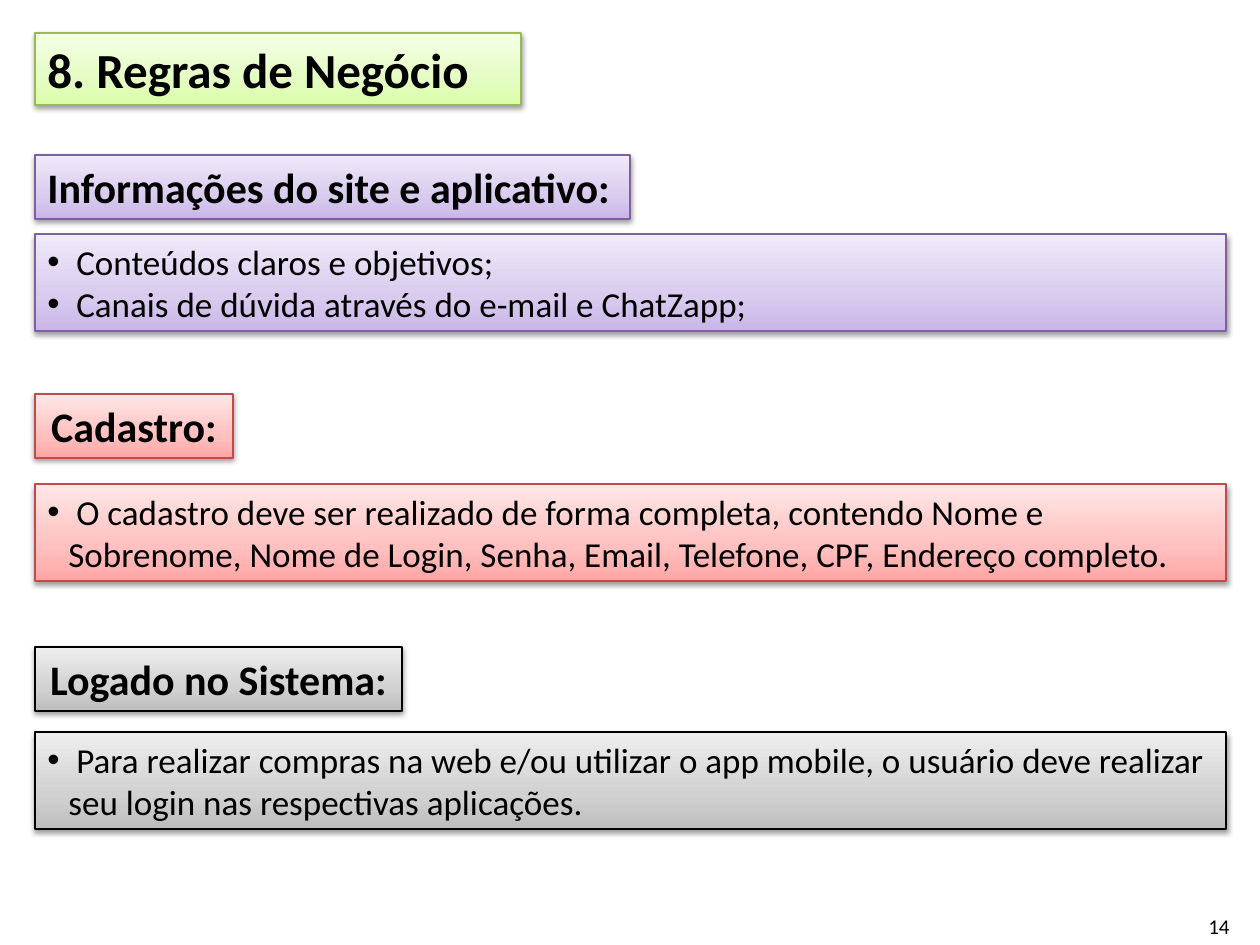
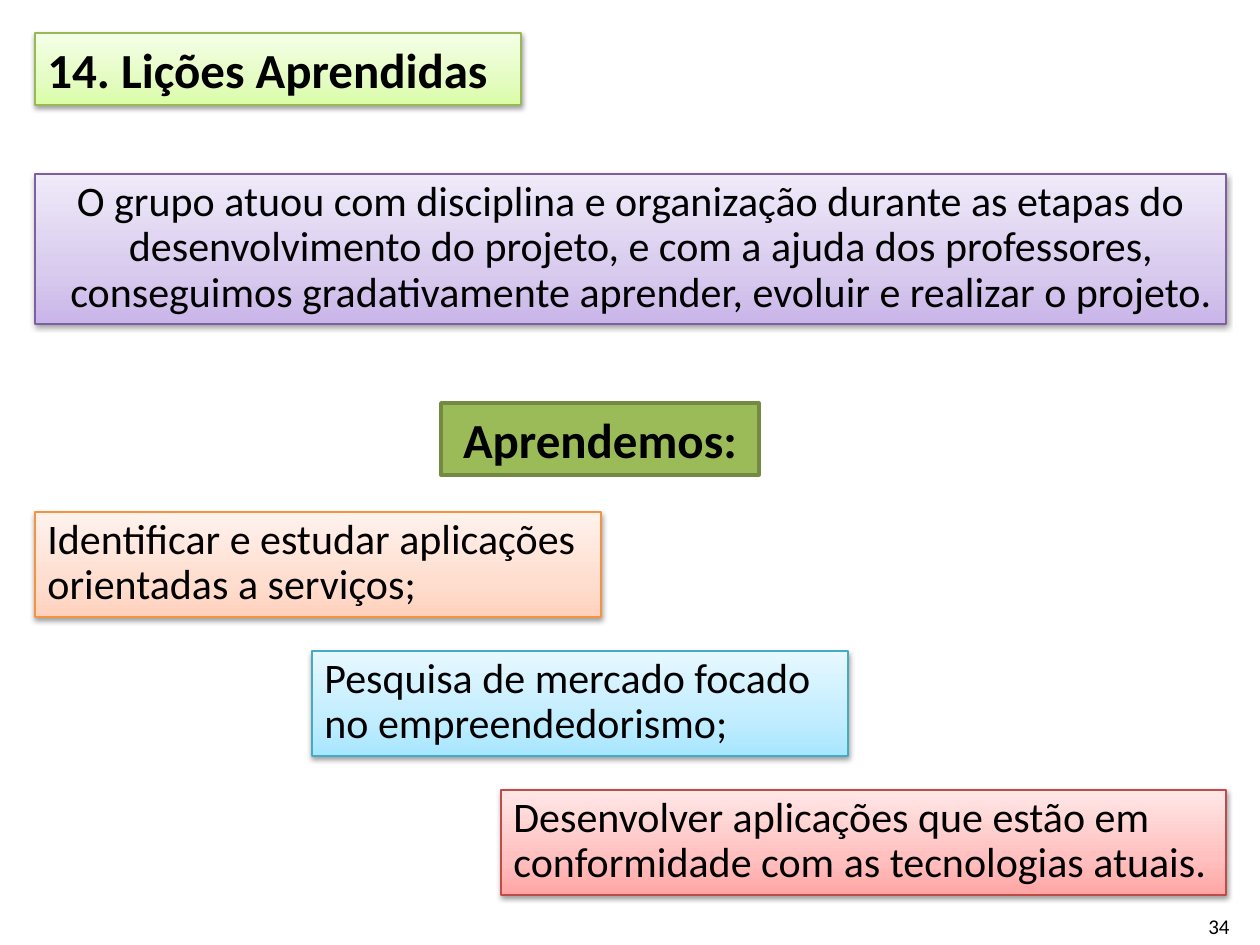
from copy import deepcopy

from lxml.etree import SubElement
from pptx import Presentation
from pptx.dml.color import RGBColor
from pptx.enum.shapes import MSO_SHAPE
from pptx.enum.text import MSO_ANCHOR, MSO_AUTO_SIZE, PP_ALIGN
from pptx.oxml.ns import qn
from pptx.util import Pt

SCALE = 914400 / 126
LEFT, WIDE = 35, 1191
INK = "000000"

# line, then gradient stops from bottom to top
TONES = {
    "lime": ("98B955", "DAFDA7", "E4FCC2", "F5FFE7"),
    "lilac": ("7D60A0", "C9B5E8", "D8CBEE", "F0EAF9"),
    "red": ("BF4C48", "FFA6A5", "FFC0BF", "FFE7E7"),
    "gray": (INK, "BDBDBD", "D1D1D1", "EEEEEE"),
    "peach": ("F69240", "FFD2BD", "FFDED0", "FFF2ED"),
    "sky": ("46AAC5", "A7E6FF", "C1EDFF", "E7F8FF"),
}
STOPS = (0, 0.35, 1)

CENTER = {"alignment": PP_ALIGN.CENTER}
RIGHT = {"alignment": PP_ALIGN.RIGHT}
PROSE = {"line_spacing": 0.9, "space_after": Pt(6)}


def px(n):
    return round(n * SCALE)


def color(code):
    return RGBColor.from_string(code)


def apply(target, values):
    for name, value in values.items():
        setattr(target, name, value)


class Deck:
    def __init__(self):
        self.prs = Presentation()
        apply(self.prs, {"slide_width": px(1260), "slide_height": px(945)})
        self.slide = None

    def page(self, title, number):
        """Start a slide with its title band and page number."""
        self.slide = self.prs.slides.add_slide(self.prs.slide_layouts[6])
        self.band("lime", (LEFT, 33, 486, 72), [title], 28, True)
        box = self.slide.shapes.add_textbox(*map(px, (948, 901, 294, 50)))
        self.text(box, [number], 12, form=RIGHT, anchor=MSO_ANCHOR.MIDDLE)

    def text(self, shape, lines, size, bold=False, form=None, hang=0,
             bullet=False, anchor=MSO_ANCHOR.TOP, fit=MSO_AUTO_SIZE.NONE):
        frame = shape.text_frame
        apply(frame, {"word_wrap": True, "vertical_anchor": anchor,
                      "auto_size": fit})
        for i, line in enumerate(lines):
            para = frame.add_paragraph() if i else frame.paragraphs[0]
            apply(para, {"alignment": PP_ALIGN.LEFT, **(form or {})})
            run = para.add_run()
            run.text = line
            apply(run.font, {"name": "Calibri", "size": Pt(size), "bold": bold})
            run.font.color.rgb = color(INK)
            props = para._p.get_or_add_pPr()
            if hang:
                props.set("marL", str(px(hang)))
                props.set("indent", str(-px(hang)))
            if bullet:
                SubElement(props, qn("a:buFont"), typeface="Arial")
                SubElement(props, qn("a:buChar"), char="•")

    def rect(self, area, line, width):
        shape = self.slide.shapes.add_shape(MSO_SHAPE.RECTANGLE, *map(px, area))
        shape.line.color.rgb = color(line)
        shape.line.width = Pt(width)
        shape.shadow.inherit = False
        return shape

    def band(self, tone, area, lines, size, bold=False, **style):
        """Add a text rectangle with a gradient and a soft shadow."""
        line, *shades = TONES[tone]
        shape = self.rect(area, line, 0.75)
        shape.fill.gradient()
        shape.fill.gradient_angle = 90
        stops = shape._element.spPr.find(qn("a:gradFill")).find(qn("a:gsLst"))
        stops.append(deepcopy(stops[0]))
        for stop, place, shade in zip(shape.fill.gradient_stops, STOPS, shades):
            stop.position = place
            stop.color.rgb = color(shade)
        self.shade(shape)
        self.text(shape, lines, size, bold,
                  fit=MSO_AUTO_SIZE.SHAPE_TO_FIT_TEXT, **style)

    def shade(self, shape):
        effects = shape._element.spPr.find(qn("a:effectLst"))
        outer = SubElement(effects, qn("a:outerShdw"), blurRad="40000",
                           dist="20000", dir="5400000", rotWithShape="0")
        tint = SubElement(outer, qn("a:srgbClr"), val=INK)
        SubElement(tint, qn("a:alpha"), val="38000")

    def label(self, area, fill, line, text):
        """Add a flat heading with a strong outline."""
        shape = self.rect(area, line, 2)
        shape.fill.solid()
        shape.fill.fore_color.rgb = color(fill)
        self.text(shape, [text], 28, True, form=CENTER,
                  fit=MSO_AUTO_SIZE.SHAPE_TO_FIT_TEXT)


def rules(deck):
    deck.page("8. Regras de Negócio", "14")
    # tone, heading, its top, width and format, list top, list items
    groups = [
        ("lilac", "Informações do site e aplicativo:", 155, 595, None, 234,
         [" Conteúdos claros e objetivos;",
          " Canais de dúvida através do e-mail e ChatZapp;"]),
        ("red", "Cadastro:", 394, 198, CENTER, 484,
         [" O cadastro deve ser realizado de forma completa, contendo Nome e "
          "Sobrenome, Nome de Login, Senha, Email, Telefone, CPF, "
          "Endereço completo."]),
        ("gray", "Logado no Sistema:", 647, 367, CENTER, 732,
         [" Para realizar compras na web e/ou utilizar o app mobile, o usuário "
          "deve realizar seu login nas respectivas aplicações."]),
    ]
    for tone, head, top, width, form, low, items in groups:
        deck.band(tone, (LEFT, low, WIDE, 97), items, 20, hang=21, bullet=True)
        deck.band(tone, (LEFT, top, width, 64), [head], 24, True, form=form)


def lessons(deck):
    deck.page("14. Lições Aprendidas", "34")
    deck.band("lilac", (LEFT, 174, WIDE, 150), [
        "O grupo atuou com disciplina e organização durante as etapas do "
        "desenvolvimento do projeto, e com a ajuda dos professores, "
        "conseguimos gradativamente aprender, evoluir e realizar o projeto."],
        24, form={**CENTER, **PROSE}, hang=21)
    steps = [
        ("peach", LEFT, 566,
         "Identificar e estudar aplicações orientadas a serviços;"),
        ("sky", 312, 536, "Pesquisa de mercado focado no empreendedorismo;"),
        ("red", 501, 725, "Desenvolver aplicações que estão em conformidade "
                          "com as tecnologias atuais."),
    ]
    for i, (tone, left, width, text) in enumerate(steps):
        deck.band(tone, (left, 512 + 139 * i, width, 105), [text], 24, form=PROSE)
    deck.label((441, 403, 318, 72), "9BBB59", "738A42", "Aprendemos:")


def main():
    deck = Deck()
    rules(deck)
    lessons(deck)
    deck.prs.save("out.pptx")


if __name__ == "__main__":
    main()
